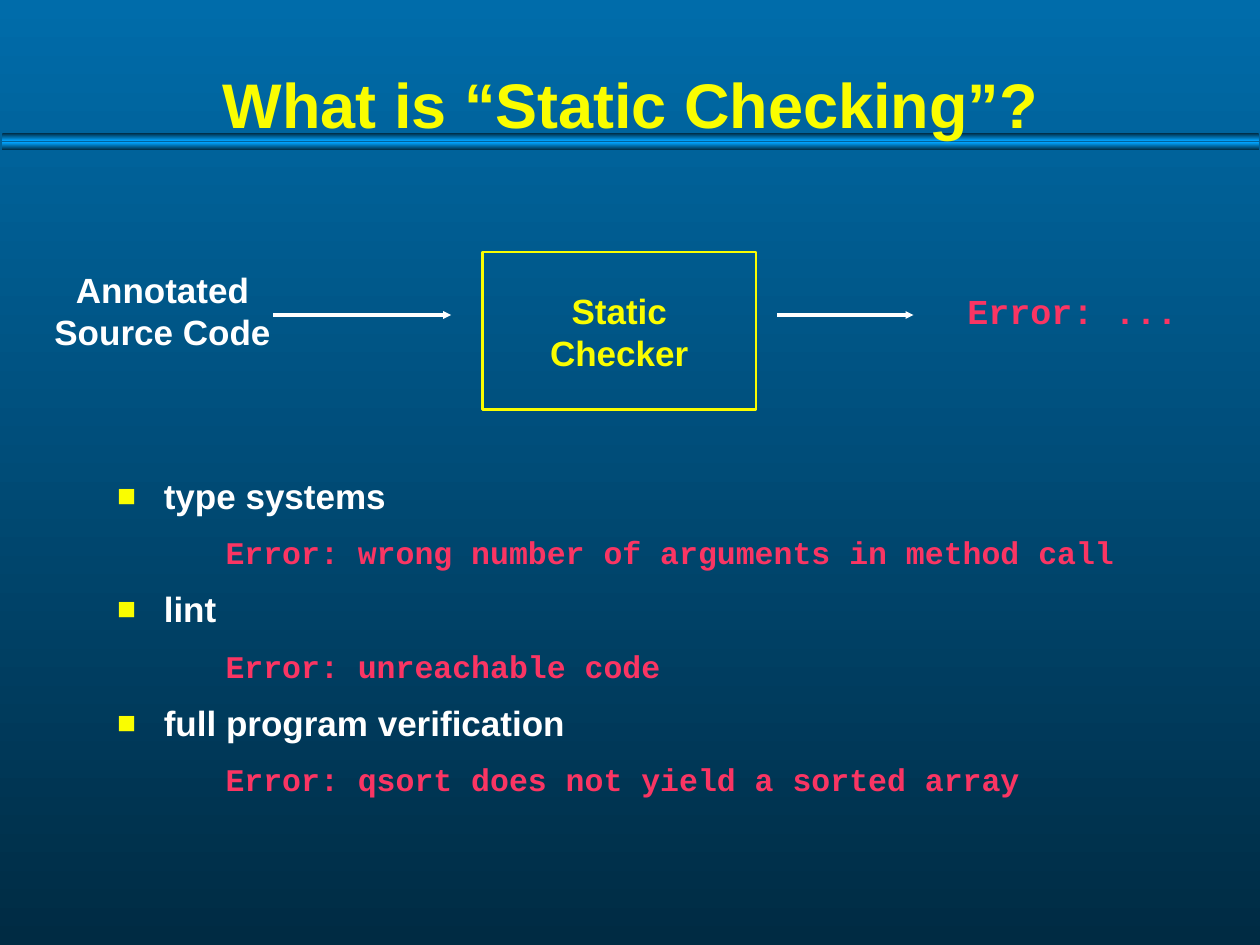
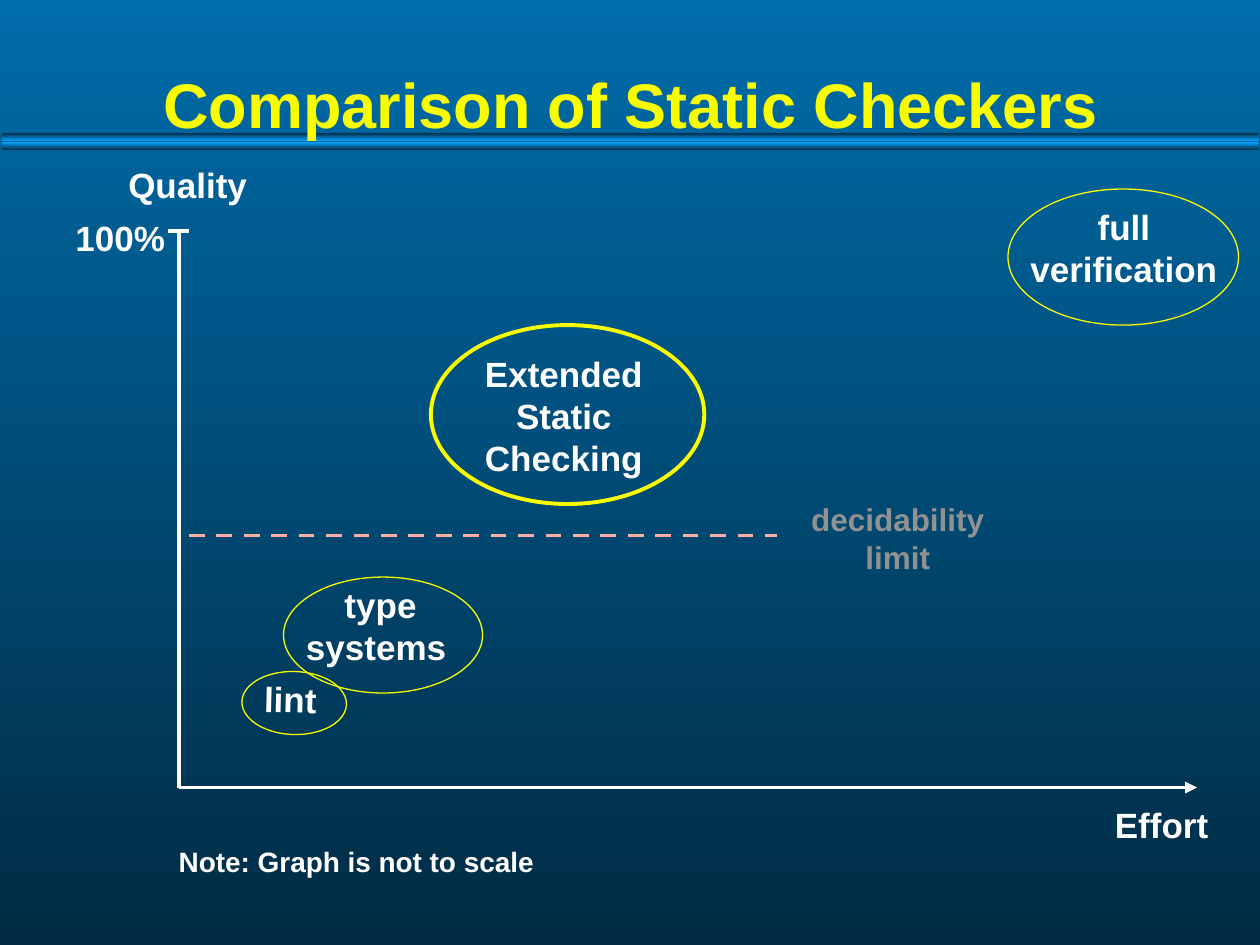
from lxml import etree
from pptx import Presentation
from pptx.dml.color import RGBColor
from pptx.enum.dml import MSO_LINE
from pptx.enum.shapes import MSO_CONNECTOR, MSO_SHAPE
from pptx.enum.text import MSO_ANCHOR, MSO_AUTO_SIZE, PP_ALIGN
from pptx.oxml.ns import qn
from pptx.util import Inches, Pt

# Shared style
YELLOW = RGBColor(0xFA, 0xFD, 0x00)
WHITE = RGBColor(0xFF, 0xFF, 0xFF)
RED = RGBColor(0xFA, 0x35, 0x63)
PINK = RGBColor(0xFF, 0xAE, 0xA6)
GRAY = RGBColor(0x91, 0x91, 0x91)
SKY = RGBColor(0x00, 0x6C, 0xAA)
NAVY = RGBColor(0x00, 0x2B, 0x43)
BAND_LIGHT = RGBColor(0x01, 0xA4, 0xFF)
BAND_DARK = RGBColor(0x00, 0x30, 0x4B)
FONT = "Arial"
CODE_FONT = "Courier New"
CENTER = PP_ALIGN.CENTER
LEFT = PP_ALIGN.LEFT


def add_xml(parent, tag, **attributes):
    return etree.SubElement(parent, qn(tag), **attributes)


def fill_downward(fill, top_color, bottom_color):
    fill.gradient()
    fill.gradient_angle = 270
    for stop, color in zip(fill.gradient_stops, (top_color, bottom_color)):
        stop.color.rgb = color


def write_text(paragraph, text, size=20, color=WHITE, font=FONT, align=LEFT,
               line_spacing=None, before=0, after=0):
    paragraph.alignment = align
    paragraph.line_spacing = line_spacing
    paragraph.space_before = Pt(before)
    paragraph.space_after = Pt(after)
    run = paragraph.add_run()
    run.text = text
    run.font.name = font
    run.font.size = Pt(size)
    run.font.bold = True
    run.font.color.rgb = color


def set_bullet(paragraph, margin, indent=0, character=None):
    properties = paragraph._p.get_or_add_pPr()
    properties.set("marL", str(Inches(margin)))
    properties.set("indent", str(Inches(indent)))
    if character is None:
        add_xml(properties, "a:buNone")
        return
    bullet_color = add_xml(properties, "a:buClr")
    add_xml(bullet_color, "a:srgbClr", val=str(YELLOW))
    add_xml(properties, "a:buSzPct", val="90000")
    add_xml(properties, "a:buFont", typeface=FONT)
    add_xml(properties, "a:buChar", char=character)


class SlideBuilder:
    def __init__(self, presentation):
        self.presentation = presentation
        self.slide = None

    def start_slide(self, layout_index, title):
        layout = self.presentation.slide_layouts[layout_index]
        self.slide = self.presentation.slides.add_slide(layout)
        frame = self.place(self.slide.shapes.title, 0.52, 0.35, 8.97, 0.58)
        write_text(frame.paragraphs[0], title, size=36, color=YELLOW,
                   align=CENTER, line_spacing=1.2)

    def place(self, placeholder, left, top, width, height):
        placeholder.left, placeholder.top = Inches(left), Inches(top)
        placeholder.width, placeholder.height = Inches(width), Inches(height)
        frame = placeholder.text_frame
        frame.auto_size = MSO_AUTO_SIZE.NONE
        frame.vertical_anchor = MSO_ANCHOR.TOP
        return frame

    def style_master(self):
        """Put the background and the title band on the master."""
        master = self.presentation.slide_master
        fill_downward(master.background.fill, SKY, NAVY)
        for top, colors in ((1.13, (BAND_LIGHT, BAND_DARK)),
                            (1.06, (BAND_DARK, BAND_LIGHT))):
            band = self.outline(MSO_SHAPE.RECTANGLE, 0.02, top, 9.97, 0.06)
            fill_downward(band.fill, *colors)
            band.line.fill.background()
            master.shapes._spTree.append(band._element)

    def outline(self, kind, left, top, width, height, weight=0.75, rotation=0):
        shape = self.slide.shapes.add_shape(
            kind, Inches(left), Inches(top), Inches(width), Inches(height))
        shape.shadow.inherit = False
        shape.fill.background()
        shape.line.color.rgb = YELLOW
        shape.line.width = Pt(weight)
        shape.rotation = rotation
        return shape

    def label(self, lines, left, top, width, height, wrap=False, rotation=0,
              aligns=None, **text_format):
        box = self.slide.shapes.add_textbox(
            Inches(left), Inches(top), Inches(width), Inches(height))
        box.rotation = rotation
        frame = box.text_frame
        frame.word_wrap = wrap
        frame.auto_size = MSO_AUTO_SIZE.SHAPE_TO_FIT_TEXT
        aligns = aligns or [CENTER] * len(lines)
        for index, (line, align) in enumerate(zip(lines, aligns)):
            paragraph = frame.add_paragraph() if index else frame.paragraphs[0]
            write_text(paragraph, line, align=align, **text_format)

    def line(self, start, end, color=WHITE, head=None, dashed=False):
        """Draw a straight line; head is the arrowhead size, sm or med."""
        connector = self.slide.shapes.add_connector(
            MSO_CONNECTOR.STRAIGHT, *map(Inches, start + end))
        connector.line.color.rgb = color
        connector.line.width = Pt(2.25)
        if dashed:
            connector.line.dash_style = MSO_LINE.DASH
        if head:
            add_xml(connector.line._get_or_add_ln(), "a:tailEnd",
                    type="triangle", w=head, len=head)
        add_xml(connector._element.spPr, "a:effectLst")

    def examples(self, pairs):
        """List each kind of checker with an error that it reports."""
        frame = self.place(self.slide.placeholders[1], 0.33, 3.75, 8.92, 4.63)
        for index, (checker, error) in enumerate(pairs):
            paragraph = frame.add_paragraph() if index else frame.paragraphs[0]
            set_bullet(paragraph, 0.87, -0.37, "■")
            write_text(paragraph, checker, line_spacing=0.9,
                       before=5 if index else 0, after=7.5)
            paragraph = frame.add_paragraph()
            paragraph.level = 1
            set_bullet(paragraph, 1.36)
            write_text(paragraph, error, size=18, color=RED, font=CODE_FONT,
                       line_spacing=0.9, before=4.5, after=6.8)


def build_definition(builder):
    builder.start_slide(1, "What is “Static Checking”?")
    builder.style_master()

    # Flow from source code to error
    builder.label(["Annotated", "Source Code"], 0.29, 2.08, 2, 0.77)
    builder.label(["Static", "Checker"], 3.83, 2.25, 2.17, 0.77, wrap=True,
                  color=YELLOW)
    builder.label(["Error: ..."], 7.58, 2.25, 1.87, 0.44, aligns=[LEFT],
                  color=RED, font=CODE_FONT)
    builder.outline(MSO_SHAPE.RECTANGLE, 3.83, 2, 2.17, 1.25, weight=1.5)
    for start, end in ((2.17, 3.58), (6.17, 7.25)):
        builder.line((start, 2.5), (end, 2.5), head="sm")

    # Checkers and their errors
    builder.examples([
        ("type systems", "Error: wrong number of arguments in method call"),
        ("lint", "Error: unreachable code"),
        ("full program verification",
         "Error: qsort does not yield a sorted array"),
    ])


def build_comparison(builder):
    builder.start_slide(5, "Comparison of Static Checkers")

    # Axes
    origin = (1.42, 6.25)
    builder.line(origin, (9.5, 6.25), head="med")
    builder.line(origin, (1.42, 1.83))
    builder.line((1.33, 1.83), (1.5, 1.83))
    builder.label(["Quality"], 0.92, 1.25, 1.14, 0.44, aligns=[LEFT])
    builder.label(["100%"], 0.5, 1.67, 0.91, 0.44, aligns=[LEFT])
    builder.label(["Effort"], 8.75, 6.33, 0.94, 0.44, aligns=[LEFT])

    # Decidability limit
    builder.line((1.5, 4.25), (6.17, 4.25), color=PINK, dashed=True)
    builder.label(["decidability", "limit"], 6.3, 3.92, 1.65, 0.7,
                  size=18, color=GRAY)

    # Checkers
    builder.label(["full", "verification"], 8.04, 1.58, 1.76, 0.77)
    builder.label(["lint"], 1.97, 5.33, 0.67, 0.44, rotation=1.5)
    builder.label(["type", "systems"], 2.33, 4.58, 1.38, 0.77, wrap=True,
                  aligns=[CENTER, LEFT])
    builder.label(["Extended", "Static", "Checking"], 3.73, 2.75, 1.49, 1.1)
    oval = MSO_SHAPE.OVAL
    builder.outline(oval, 2.25, 4.58, 1.58, 0.92)
    builder.outline(oval, 1.92, 5.33, 0.83, 0.5, rotation=1.6)
    builder.outline(oval, 3.42, 2.58, 2.17, 1.42, weight=2.25)
    builder.outline(oval, 8, 1.5, 1.83, 1.08)

    # Note
    builder.label(["Note: Graph is not to scale"], 1.32, 6.65, 3.02, 0.37,
                  aligns=[LEFT], size=16)


def main():
    presentation = Presentation()
    presentation.slide_width = Inches(10)
    presentation.slide_height = Inches(7.5)
    builder = SlideBuilder(presentation)
    build_definition(builder)
    build_comparison(builder)
    presentation.save("out.pptx")


if __name__ == "__main__":
    main()
